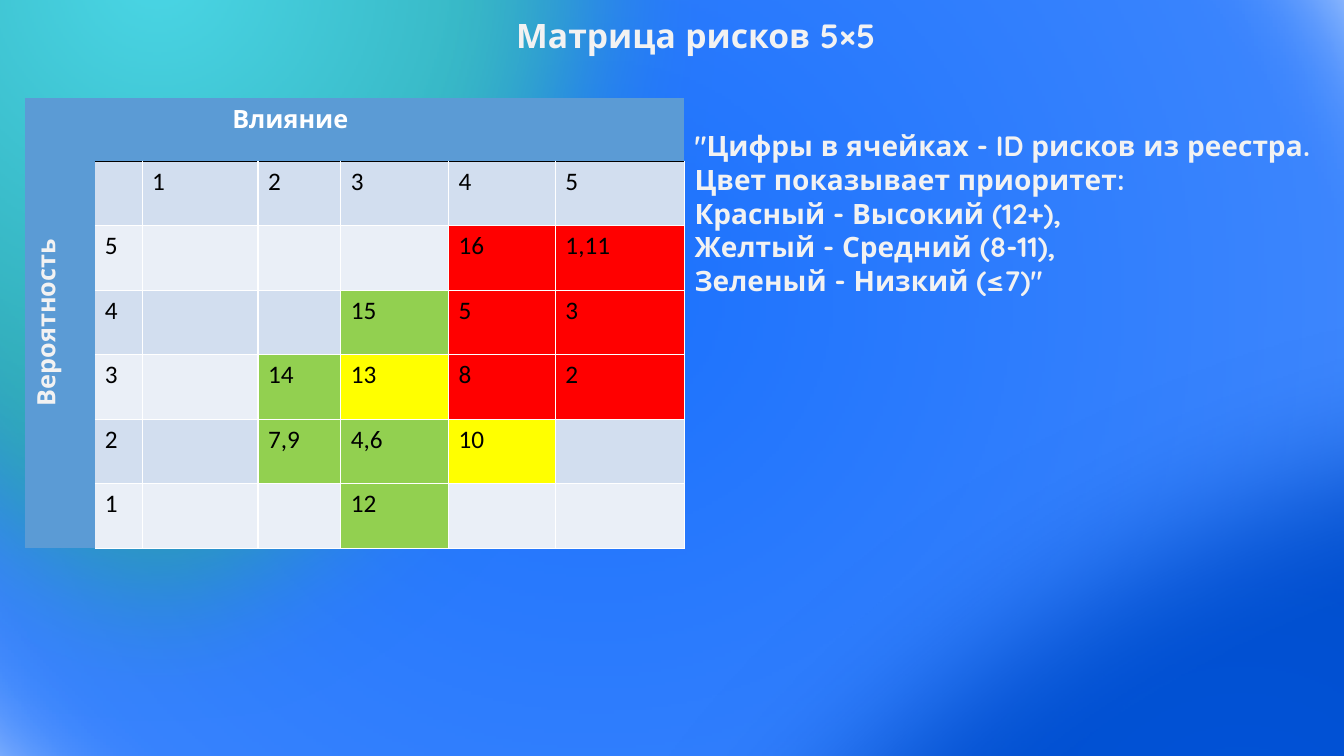
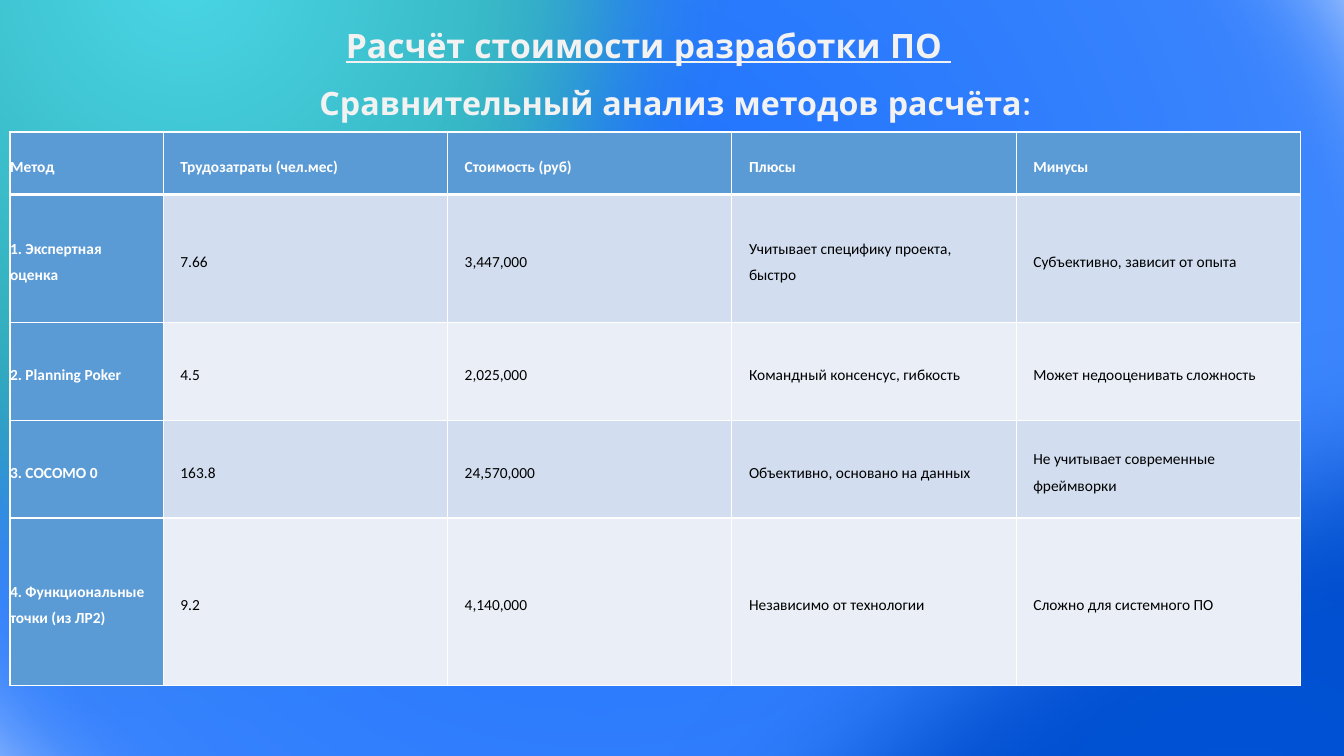
from dataclasses import dataclass

from lxml import etree
from pptx import Presentation
from pptx.dml.color import RGBColor
from pptx.enum.shapes import MSO_SHAPE
from pptx.enum.text import MSO_ANCHOR, MSO_AUTO_SIZE, PP_ALIGN
from pptx.oxml.ns import qn
from pptx.util import Inches, Pt

OVAL = MSO_SHAPE.OVAL
TOP, MIDDLE = MSO_ANCHOR.TOP, MSO_ANCHOR.MIDDLE
LEFT, CENTER = PP_ALIGN.LEFT, PP_ALIGN.CENTER
FIT_SHAPE = MSO_AUTO_SIZE.SHAPE_TO_FIT_TEXT
TITLE_ONLY = 5


@dataclass(frozen=True)
class Theme:
    """Colours, fonts and type sizes of the deck."""
    light: str = "F2F2F2"
    white: str = "FFFFFF"
    black: str = "000000"
    header: str = "5B9BD5"
    bands: tuple = ("D2DEEF", "EAEFF7")
    outline: str = "43739E"
    high: str = "FF0000"
    medium: str = "FFFF00"
    low: str = "92D050"
    display: str = "Quicksand"
    body: str = "Calibri"
    title_size: int = 24
    subtitle_size: int = 23
    note_size: int = 20
    matrix_size: int = 18
    methods_size: int = 11


THEME = Theme()
SOFT_EDGE = Pt(100)
GLOWS = (
    ((-5.01, -6.54, 21.87, 19), 25.8, ((0, "1B71FD"), (100, "72A7FE"))),
    ((-6.18, -5.97, 15.5, 11.44), 270, ((0, "4AD6E5"), (100, "137C87"))),
    ((4.67, 3.62, 15.28, 9.94), 331.6, ((0, "0153D9"), (85, "0046B8"))),
)
TEAL = 1

MATRIX_COLUMNS = (0.69, 0.47, 1.15, 0.82, 1.07, 1.06, 1.28)
MATRIX_ROWS = (0.63,) + (0.64,) * 6
RISKS = {
    (5, 4): ("16", THEME.high), (5, 5): ("1,11", THEME.high),
    (4, 3): ("15", THEME.low), (4, 4): ("5", THEME.high), (4, 5): ("3", THEME.high),
    (3, 2): ("14", THEME.low), (3, 3): ("13", THEME.medium),
    (3, 4): ("8", THEME.high), (3, 5): ("2", THEME.high),
    (2, 2): ("7,9", THEME.low), (2, 3): ("4,6", THEME.low), (2, 4): ("10", THEME.medium),
    (1, 3): ("12", THEME.low),
}
LEGEND = (
    '"Цифры в ячейках - ID рисков из реестра.',
    "Цвет показывает приоритет:",
    "Красный - Высокий (12+),",
    "Желтый - Средний (8-11),",
    'Зеленый - Низкий (≤7)"',
)
METHOD_COLUMNS = (1.52,) + (2.82,) * 4
METHOD_ROWS = (0.62, 1.27, 0.97, 0.97, 1.66)
METHODS = (
    ("Метод", "Трудозатраты (чел.мес)", "Стоимость (руб)", "Плюсы", "Минусы"),
    ("1. Экспертная оценка", "7.66", "3,447,000",
     "Учитывает специфику проекта, быстро", "Субъективно, зависит от опыта"),
    ("2. Planning Poker", "4.5", "2,025,000",
     "Командный консенсус, гибкость", "Может недооценивать сложность"),
    ("3. COCOMO 0", "163.8", "24,570,000",
     "Объективно, основано на данных", "Не учитывает современные фреймворки"),
    ("4. Функциональные точки (из ЛР2)", "9.2", "4,140,000",
     "Независимо от технологии", "Сложно для системного ПО"),
)


def apply(target, values):
    """Set each named attribute of the target."""
    for name, value in values.items():
        setattr(target, name, value)


def inches(box):
    """Turn a box of numbers into lengths."""
    return [Inches(length) for length in box]


def write(frame, lines, font, color, paragraph_format):
    """Fill a text frame with formatted lines."""
    frame.text = "\n".join(lines)
    for paragraph in frame.paragraphs:
        apply(paragraph, paragraph_format)
        for run in paragraph.runs:
            apply(run.font, font)
            run.font.color.rgb = RGBColor.from_string(color)


def display_font(size, **extra):
    """Return the bold display font at a size."""
    return {"name": THEME.display, "size": Pt(size), "bold": True, **extra}


def draw_glow(slide, box, rotation, stops):
    """Draw a soft ellipse with a radial gradient."""
    glow = slide.shapes.add_shape(OVAL, *inches(box))
    glow.rotation = rotation
    glow.line.color.rgb = RGBColor.from_string(THEME.outline)
    glow.line.width = Pt(1)
    glow.shadow.inherit = False
    properties = glow.element.spPr
    gradient = etree.Element(qn("a:gradFill"), rotWithShape="1")
    stop_list = etree.SubElement(gradient, qn("a:gsLst"))
    for position, color in stops:
        stop = etree.SubElement(stop_list, qn("a:gs"), pos=str(position * 1000))
        etree.SubElement(stop, qn("a:srgbClr"), val=color)
    radial = etree.SubElement(gradient, qn("a:path"))
    radial.set("path", "circle")
    etree.SubElement(radial, qn("a:fillToRect"), l="50000", t="50000", r="50000", b="50000")
    properties.insert(2, gradient)
    effects = properties.find(qn("a:effectLst"))
    etree.SubElement(effects, qn("a:softEdge"), rad=str(SOFT_EDGE))


def place_text(shape, box, lines, font, wrap=False):
    """Place light display text in a box."""
    apply(shape, dict(zip(("left", "top", "width", "height"), inches(box))))
    write(shape.text_frame, lines, font, THEME.light, {"alignment": LEFT})
    apply(shape.text_frame, {"word_wrap": wrap, "auto_size": FIT_SHAPE, "vertical_anchor": TOP})


def start_slide(deck, title, box, teal_shift=0, **title_font):
    """Add a slide with the glowing backdrop and a title."""
    slide = deck.slides.add_slide(deck.slide_layouts[TITLE_ONLY])
    for index, (glow_box, rotation, stops) in enumerate(GLOWS):
        left, *rest = glow_box
        shift = teal_shift if index == TEAL else 0
        draw_glow(slide, (left + shift, *rest), rotation, stops)
    heading = slide.shapes.title
    heading.element.getparent().append(heading.element)
    place_text(heading, box, [title], display_font(THEME.title_size, **title_font))
    return slide


def add_grid(slide, origin, columns, rows):
    """Add a plain table with the given column and row sizes."""
    box = (*origin, sum(columns), sum(rows))
    grid = slide.shapes.add_table(len(rows), len(columns), *inches(box)).table
    apply(grid, {"first_row": False, "horz_banding": False})
    for column, width in zip(grid.columns, columns):
        column.width = Inches(width)
    for row, height in zip(grid.rows, rows):
        row.height = Inches(height)
    return grid


def paint_cell(cell, fill, borders):
    """Set the borders and then the fill of a cell."""
    properties = cell._tc.get_or_add_tcPr()
    for side in "LRTB":
        color, width = borders.get(side, (None, 0))
        edge = etree.SubElement(properties, qn(f"a:ln{side}"), w=str(Pt(width)))
        if color:
            solid = etree.SubElement(edge, qn("a:solidFill"))
            etree.SubElement(solid, qn("a:srgbClr"), val=color)
        else:
            etree.SubElement(edge, qn("a:noFill"))
    cell.fill.solid()
    cell.fill.fore_color.rgb = RGBColor.from_string(fill)


def matrix_entry(row, column):
    """Return the text and fill of a cell inside the matrix."""
    band = THEME.bands[(row - 1) % 2]
    impact, likelihood = column - 1, 7 - row
    if row == 1:
        return str(impact) if impact else "", band
    if impact == 0:
        return str(likelihood), band
    return RISKS.get((likelihood, impact), ("", band))


def build_matrix(slide, origin):
    """Build the risk matrix with its two axis captions."""
    grid = add_grid(slide, origin, MATRIX_COLUMNS, MATRIX_ROWS)
    white, black = (THEME.white, 1), (THEME.black, 1)
    number_font = {"name": THEME.body, "size": Pt(THEME.matrix_size), "bold": False}
    for row in range(len(MATRIX_ROWS)):
        for column in range(len(MATRIX_COLUMNS)):
            cell = grid.cell(row, column)
            if row == 0 or column == 0:
                borders = {"B": black} if column == 6 else {}
                paint_cell(cell, THEME.header, borders)
                continue
            text, fill = matrix_entry(row, column)
            borders = {"R": white, "T": black if row == 1 else white, "B": white}
            if column > 1:
                borders["L"] = white
            paint_cell(cell, fill, borders)
            if text:
                write(cell.text_frame, [text], number_font, THEME.black, {"alignment": LEFT})
    captions = (((0, 0), (0, 5), "Влияние", THEME.white),
                ((1, 0), (5, 0), "Вероятность", THEME.light))
    for first, last, caption, color in captions:
        cell = grid.cell(*first)
        cell.merge(grid.cell(*last))
        write(cell.text_frame, [caption], display_font(THEME.matrix_size), color,
              {"alignment": CENTER})
    grid.cell(1, 0)._tc.get_or_add_tcPr().set("vert", "vert270")


def build_methods(slide, origin):
    """Build the comparison table of estimation methods."""
    grid = add_grid(slide, origin, METHOD_COLUMNS, METHOD_ROWS)
    last = len(METHOD_COLUMNS) - 1
    for row, texts in enumerate(METHODS):
        for column, text in enumerate(texts):
            cell = grid.cell(row, column)
            heading = row == 0 or column == 0
            borders = dict.fromkeys("LRTB", (THEME.white, 1))
            if row < 2:
                borders["T" if row else "B"] = (THEME.white, 3)
            paint_cell(cell, THEME.header if heading else THEME.bands[(row - 1) % 2], borders)
            apply(cell, {
                "margin_left": Inches(0.17 if column else 0),
                "margin_right": Inches(0 if row and column == last else 0.17),
                "margin_top": Inches(0.1),
                "margin_bottom": Inches(0.1),
                "vertical_anchor": MIDDLE,
            })
            font = {"name": THEME.body, "size": Pt(THEME.methods_size), "bold": heading}
            write(cell.text_frame, [text], font, THEME.white if heading else THEME.black,
                  {"line_spacing": Pt(18.8), "space_after": Pt(8)})


def build_risk_slide(deck):
    """Build the slide with the risk matrix and its legend."""
    slide = start_slide(deck, "Матрица рисков 5×5", (5.02, 0.1, 3.77, 0.5))
    build_matrix(slide, (0.25, 0.97))
    legend = slide.shapes.add_textbox(0, 0, 0, 0)
    place_text(legend, (6.79, 1.23, 6.31, 1.78), LEGEND, display_font(THEME.note_size))


def build_cost_slide(deck):
    """Build the slide comparing cost estimation methods."""
    slide = start_slide(deck, "Расчёт стоимости разработки ПО ", (3.33, 0.2, 6.23, 0.5),
                        teal_shift=0.27, underline=True)
    subtitle = slide.shapes.add_textbox(0, 0, 0, 0)
    place_text(subtitle, (3.07, 0.78, 8.2, 0.49), ["Сравнительный анализ методов расчёта:"],
               display_font(THEME.subtitle_size), wrap=True)
    build_methods(slide, (0.1, 1.31))


def main():
    """Build and save the deck."""
    deck = Presentation()
    apply(deck, {"slide_width": Inches(13.33), "slide_height": Inches(7.5)})
    build_risk_slide(deck)
    build_cost_slide(deck)
    deck.save("out.pptx")


if __name__ == "__main__":
    main()
